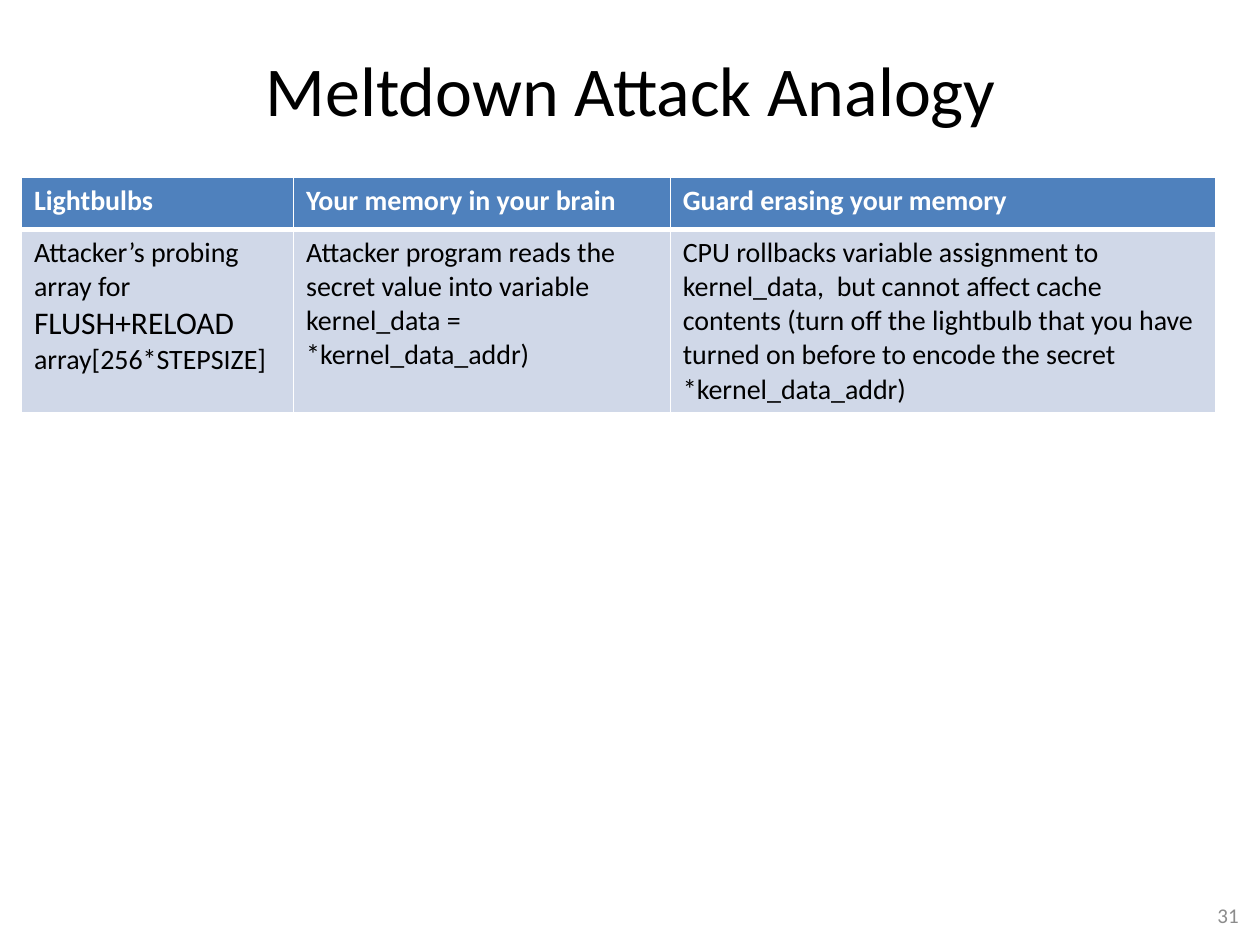
from dataclasses import dataclass

from lxml import etree
from pptx import Presentation
from pptx.dml.color import RGBColor
from pptx.enum.text import MSO_ANCHOR, PP_ALIGN
from pptx.oxml.ns import qn
from pptx.util import Inches, Pt

MIDDLE = MSO_ANCHOR.MIDDLE
CENTER, RIGHT = PP_ALIGN.CENTER, PP_ALIGN.RIGHT
FONT = "Calibri"
BLACK, WHITE, GREY = "000000", "FFFFFF", "8C8C8C"
BLUE, PALE = "4F81BD", "D0D8E8"
WIDTHS = (2.16, 2.99, 4.33)


@dataclass
class Run:
    text: str
    size: int = 16


@dataclass
class Label:
    text: str
    box: tuple[float, float, float, float]
    size: int
    color: str
    align: PP_ALIGN


@dataclass
class Row:
    height: float
    fill: str
    color: str
    bold: bool
    base: int
    cells: list[list[Run]]


LABELS = [
    Label("Meltdown Attack Analogy", (0.17, 0.08, 9.67, 1.25), 40, BLACK, CENTER),
    Label("31", (7.6, 7.06, 2.33, 0.4), 12, GREY, RIGHT),
]
ROWS = [
    Row(0.41, BLUE, WHITE, True, 3, [
        [Run("Lightbulbs")],
        [Run("Your memory in your brain")],
        [Run("Guard erasing your memory")],
    ]),
    Row(1.43, PALE, BLACK, False, 1, [
        [Run("Attacker’s probing array for "), Run("FLUSH+RELOAD", 18),
         Run(" array[256*STEPSIZE]")],
        [Run("Attacker program reads the secret value into variable "
             "kernel_data = *kernel_data_addr)")],
        [Run("CPU rollbacks variable assignment to kernel_data,  but cannot "
             "affect cache contents (turn off the lightbulb that you have "
             "turned on before to encode the secret *kernel_data_addr)")],
    ]),
]


def paint(target, color: str) -> None:
    target.rgb = RGBColor.from_string(color)


def write(para, run: Run, color: str, bold: bool = False) -> None:
    part = para.add_run()
    part.text = run.text
    style = {"name": FONT, "size": Pt(run.size), "bold": bold}
    for key, value in style.items():
        setattr(part.font, key, value)
    paint(part.font.color, color)


def add_label(slide, label: Label) -> None:
    frame = slide.shapes.add_textbox(*map(Inches, label.box)).text_frame
    for key, value in {"word_wrap": True, "vertical_anchor": MIDDLE}.items():
        setattr(frame, key, value)
    para = frame.paragraphs[0]
    para.alignment = label.align
    write(para, Run(label.text, label.size), label.color)


def edge(cell, tops: int, base: int) -> None:
    props = cell._tc.get_or_add_tcPr()
    for side, width in {"L": 1, "R": 1, "T": tops, "B": base}.items():
        line = etree.SubElement(props, qn(f"a:ln{side}"), w=str(Pt(width)))
        fill = etree.SubElement(line, qn("a:solidFill"))
        etree.SubElement(fill, qn("a:srgbClr"), val=WHITE)


def add_grid(slide, rows: list[Row]) -> None:
    high = sum(row.height for row in rows)
    box = map(Inches, (0.17, 1.41, sum(WIDTHS), high))
    table = slide.shapes.add_table(len(rows), len(WIDTHS), *box).table
    table.horz_banding = False
    for col, width in zip(table.columns, WIDTHS):
        col.width = Inches(width)
    tops = 1
    for line, row in zip(table.rows, rows):
        line.height = Inches(row.height)
        for cell, runs in zip(line.cells, row.cells):
            edge(cell, tops, row.base)
            cell.fill.solid()
            paint(cell.fill.fore_color, row.fill)
            for run in runs:
                write(cell.text_frame.paragraphs[0], run, row.color, row.bold)
        tops = row.base


def main() -> None:
    """Build the slide that sets out the Meltdown analogy."""
    deck = Presentation()
    deck.slide_width, deck.slide_height = Inches(10), Inches(7.5)
    slide = deck.slides.add_slide(deck.slide_layouts[6])
    add_grid(slide, ROWS)
    for label in LABELS:
        add_label(slide, label)
    deck.save("out.pptx")


if __name__ == "__main__":
    main()
